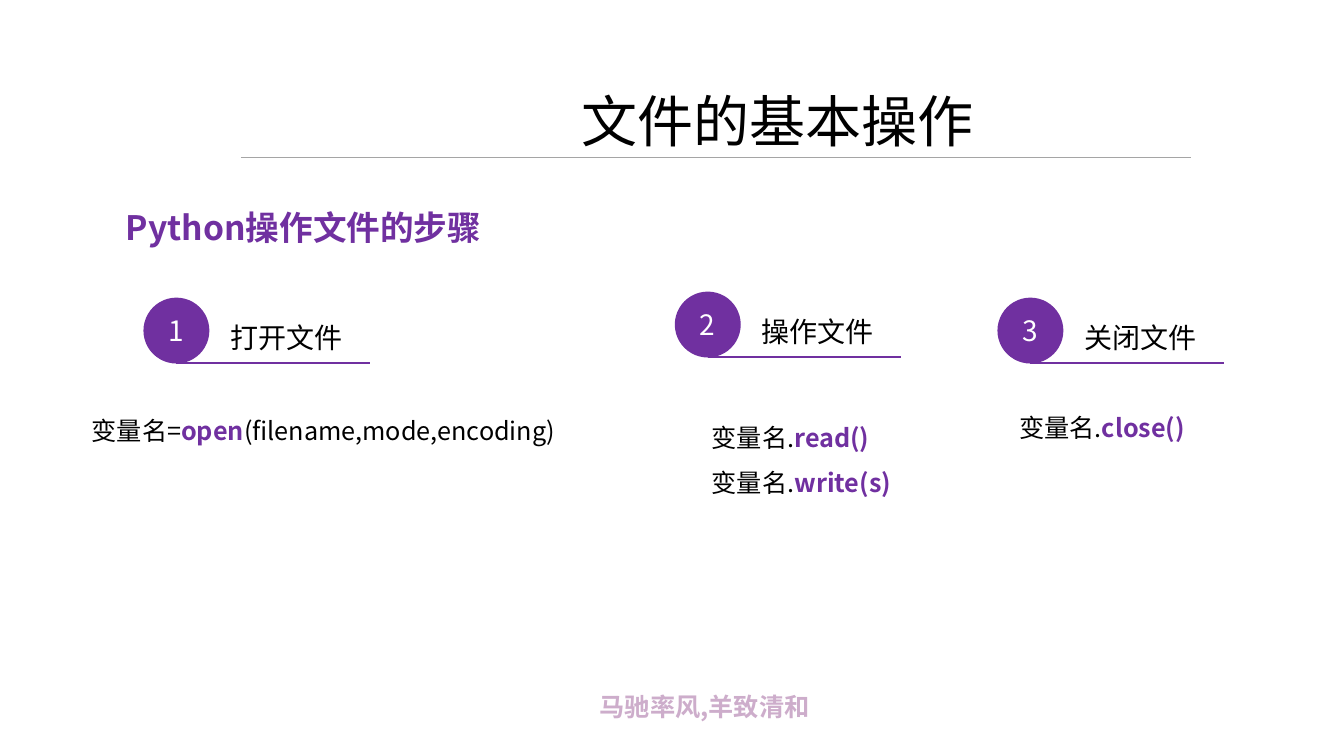
import pptx
import pptx.util
import pptx.dml.color
import pptx.enum.shapes
import pptx.enum.text
import pptx.oxml.ns
import lxml.etree

FONT = "Noto Sans CJK SC"
PURPLE, BLACK, WHITE, GRAY, LILAC = "7030A0", "000000", "FFFFFF", "A5A5A5", "CDADCB"

MOTTO = "马驰率风,羊致清和"
TITLE = "文件的基本操作"
HEADING = "Python操作文件的步骤"
STEPS = [
    ("1", "打开文件", 1.43, 2.96),
    ("2", "操作文件", 6.7, 2.9),
    ("3", "关闭文件", 9.9, 2.96),
]
CODES = [
    ((0.52, 4.07, 5.51, 0.4), None, [("变量名=", "open", "(filename,mode,encoding)")]),
    ((6.67, 3.99, 3.11, 0.96), 1.5, [("变量名.", "read()"), ("变量名.", "write(s)")]),
    ((9.72, 4.04, 2.47, 0.4), None, [("变量名.", "close()")]),
]
CIRCLE = 0.64
LABEL_OFFSET = 0.755
UNDERLINE = 1.92

Inches = pptx.util.Inches
Pt = pptx.util.Pt
ALIGN = pptx.enum.text.PP_ALIGN
qn = pptx.oxml.ns.qn


def color(code):
    return pptx.dml.color.RGBColor.from_string(code)


def add_span(para, text, size, code, bold=False):
    span = para.add_run()
    span.text = text
    span.font.size = Pt(size)
    span.font.bold = bold
    span.font.name = FONT
    span.font.color.rgb = color(code)
    east_asian = lxml.etree.SubElement(span._r.get_or_add_rPr(), qn("a:ea"))
    east_asian.set("typeface", FONT)


def add_text(page, place, paragraphs, size, align=None, spacing=None, indent=0, wrap=True):
    box = page.shapes.add_textbox(*map(Inches, place))
    frame = box.text_frame
    frame.word_wrap = wrap
    frame.auto_size = pptx.enum.text.MSO_AUTO_SIZE.SHAPE_TO_FIT_TEXT
    for index, spans in enumerate(paragraphs):
        para = frame.add_paragraph() if index else frame.paragraphs[0]
        para.alignment = align
        para.line_spacing = spacing
        if indent:
            para._p.get_or_add_pPr().set("indent", str(Inches(indent)))
        for text, code, bold in spans:
            add_span(para, text, size, code, bold)


def add_line(page, left, top, length, code, width):
    line = page.shapes.add_connector(
        pptx.enum.shapes.MSO_CONNECTOR.STRAIGHT,
        Inches(left), Inches(top), Inches(left + length), Inches(top))
    line.line.color.rgb = color(code)
    line.line.width = Pt(width)
    lxml.etree.SubElement(line._element.spPr, qn("a:effectLst"))


def add_step(page, number, label, left, top):
    circle = page.shapes.add_shape(
        pptx.enum.shapes.MSO_SHAPE.OVAL,
        Inches(left), Inches(top), Inches(CIRCLE), Inches(CIRCLE))
    circle.shadow.inherit = False
    circle.fill.solid()
    circle.fill.fore_color.rgb = color(PURPLE)
    circle.line.color.rgb = color(PURPLE)
    circle.line.width = Pt(1)
    circle.text_frame.vertical_anchor = pptx.enum.text.MSO_ANCHOR.MIDDLE
    para = circle.text_frame.paragraphs[0]
    para.alignment = ALIGN.CENTER
    add_span(para, number, 20, WHITE)
    add_text(page, (left + LABEL_OFFSET, top, 1.54, 0.55),
             [[(label, BLACK, False)]], 20, ALIGN.JUSTIFY, 1.5)
    add_line(page, left + CIRCLE / 2, top + CIRCLE, UNDERLINE, PURPLE, 1)


def main():
    deck = pptx.Presentation()
    deck.slide_width = Inches(13.33)
    deck.slide_height = Inches(7.5)
    page = deck.slides.add_slide(deck.slide_layouts[6])

    add_text(page, (5.85, 6.81, 2.84, 0.4), [[(MOTTO, LILAC, True)]], 18)
    add_line(page, 2.39, 1.56, 9.42, GRAY, 0.5)
    add_text(page, (5.67, 0.81, 4.13, 0.77), [[(TITLE, BLACK, False)]], 40, wrap=False)
    add_text(page, (1.15, 1.8, 3.99, 0.64), [[(HEADING, PURPLE, True)]],
             24, ALIGN.JUSTIFY, 1.5)
    for step in STEPS:
        add_step(page, *step)
    for place, spacing, lines in CODES:
        paragraphs = [
            [(text, PURPLE if index == 1 else BLACK, index == 1)
             for index, text in enumerate(parts)]
            for parts in lines
        ]
        add_text(page, place, paragraphs, 18, ALIGN.JUSTIFY, spacing, 0.29)
    deck.save("out.pptx")


if __name__ == "__main__":
    main()
